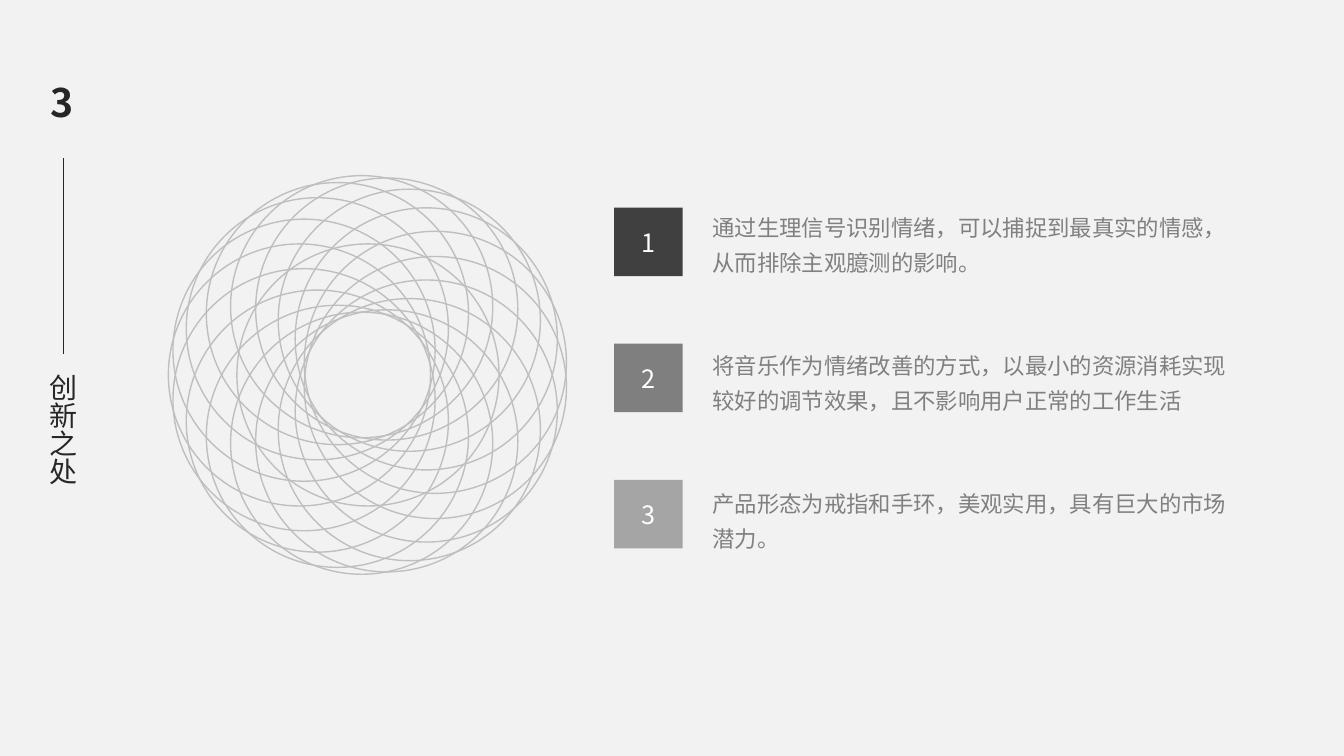
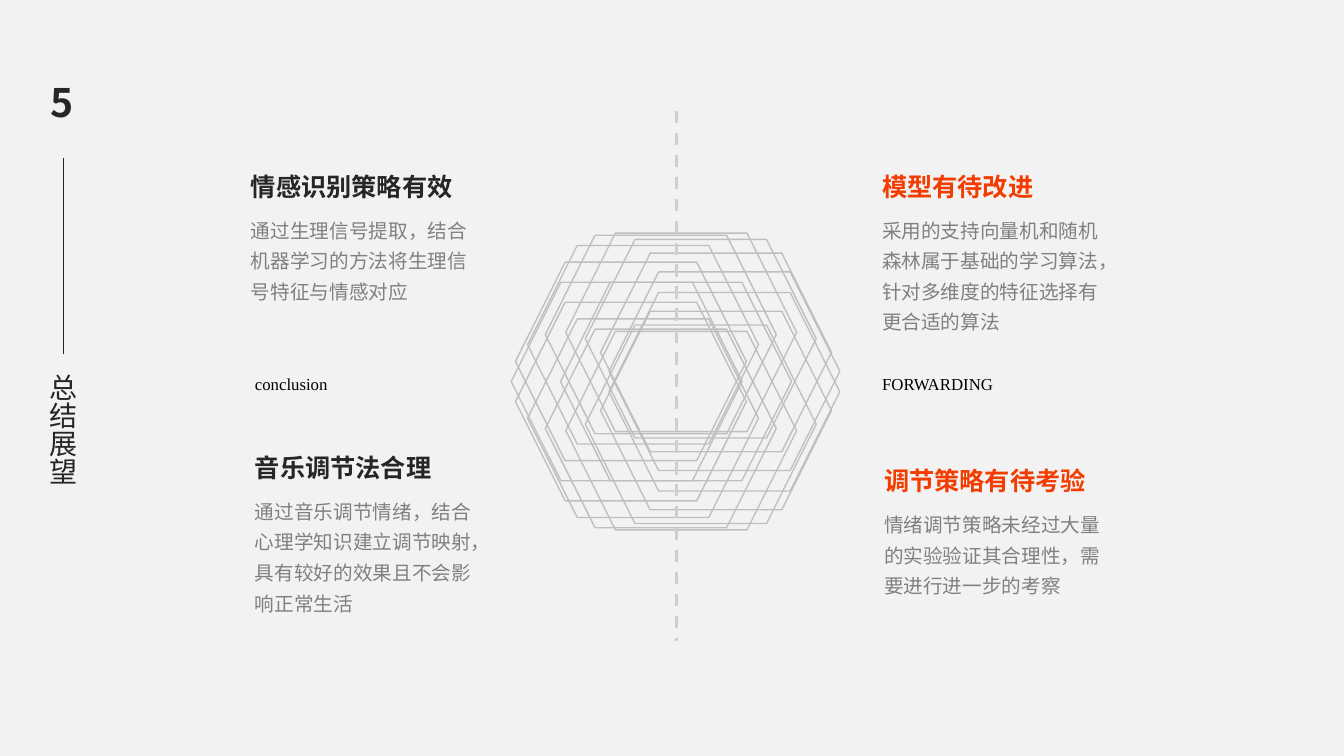
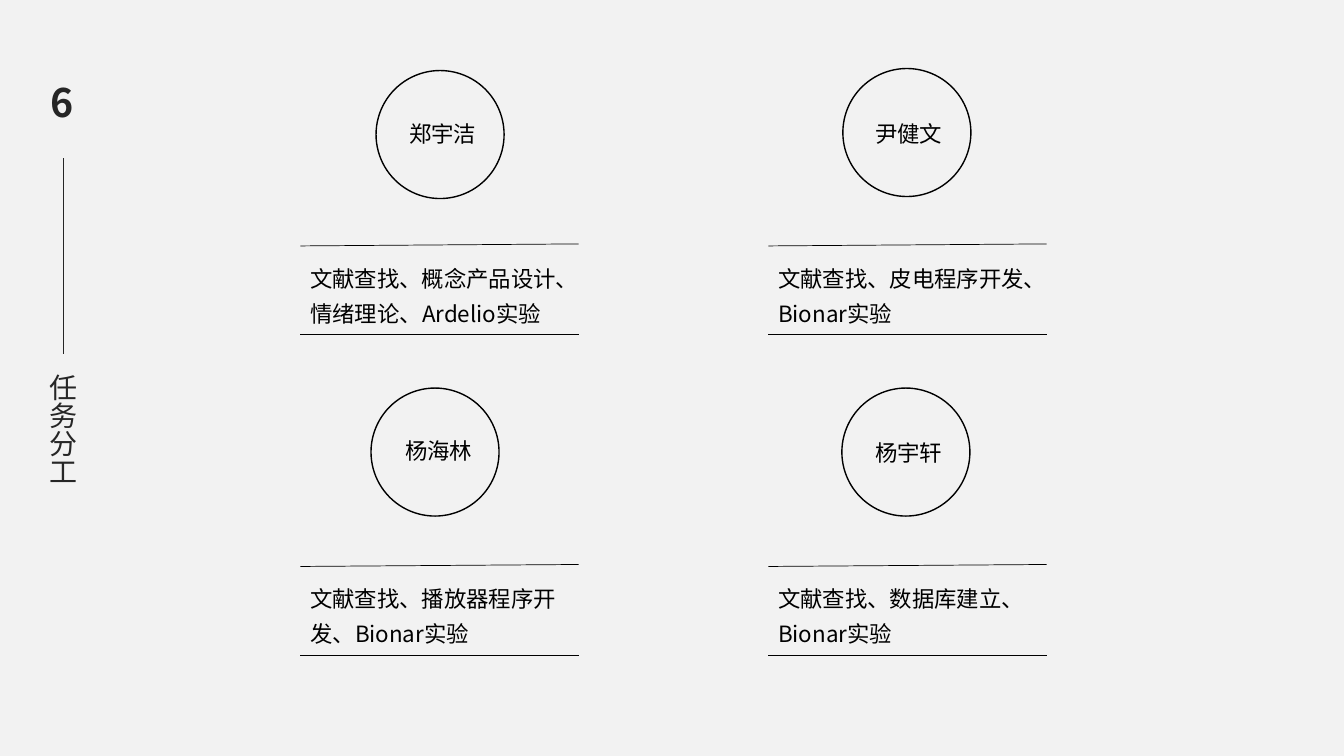
"""Build three slides: innovations, conclusions and outlook, and division of tasks."""
from math import cos, pi, sin

from lxml.etree import SubElement
from pptx import Presentation
from pptx.dml.color import RGBColor
from pptx.enum.dml import MSO_LINE
from pptx.enum.shapes import MSO_CONNECTOR, MSO_SHAPE
from pptx.enum.text import MSO_ANCHOR, MSO_AUTO_SIZE, PP_ALIGN
from pptx.oxml.ns import qn
from pptx.util import Inches, Pt

COLORS = {
    "background": "F2F2F2",
    "ink": "262626",
    "body": "808080",
    "outline": "BFBFBF",
    "divider": "D0CECE",
    "accent": "F23C00",
    "black": "000000",
    "white": "FFFFFF",
    "badge dark": "404040",
    "badge medium": "7F7F7F",
    "badge light": "A5A5A5",
}
RGB = {name: RGBColor.from_string(value) for name, value in COLORS.items()}
SANS = "Noto Sans CJK SC"
SERIF = "Times New Roman"


def write(shape, text, size, color, bold=False, align=PP_ALIGN.LEFT, spacing=None,
          before=0, anchor=MSO_ANCHOR.TOP, wrap=True, grow=True, font=SANS):
    """Put one formatted paragraph into a shape."""
    frame = shape.text_frame
    frame.text = text
    frame.word_wrap = wrap
    frame.auto_size = MSO_AUTO_SIZE.SHAPE_TO_FIT_TEXT if grow else MSO_AUTO_SIZE.NONE
    frame.vertical_anchor = anchor
    paragraph = frame.paragraphs[0]
    paragraph.alignment = align
    paragraph.line_spacing = spacing
    paragraph.space_before = Pt(before)
    paragraph.font.size = Pt(size)
    paragraph.font.bold = bold
    paragraph.font.color.rgb = RGB[color]
    paragraph.font.name = font
    SubElement(paragraph.font._element, qn("a:ea"), typeface=font)


def add_line(slide, x1, y1, x2, y2, color, width=0.5):
    """Draw a straight line without a shadow."""
    line = slide.shapes.add_connector(
        MSO_CONNECTOR.STRAIGHT, Inches(x1), Inches(y1), Inches(x2), Inches(y2))
    line.line.color.rgb = RGB[color]
    line.line.width = Pt(width)
    SubElement(line._element.spPr, qn("a:effectLst"))
    return line


presentation = Presentation()
presentation.slide_width = Inches(13.33)
presentation.slide_height = Inches(7.5)
background = presentation.slide_master.background.fill
background.solid()
background.fore_color.rgb = RGB["background"]

slides = []
for number, heading in [("3", "创新之处"), ("5", "总结展望"), ("6", "任务分工")]:
    slide = presentation.slides.add_slide(presentation.slide_layouts[5])
    slides.append(slide)
    add_line(slide, 0.63, 1.57, 0.63, 3.51, "ink")
    number_box = slide.shapes.add_textbox(Inches(0.24), Inches(0.61), Inches(0.76), Inches(0.8))
    write(number_box, number, 28, "ink", bold=True, align=PP_ALIGN.CENTER,
          before=10, anchor=MSO_ANCHOR.MIDDLE, grow=False)
    title = slide.shapes.title
    title.left, title.top = Inches(0.32), Inches(3.66)
    title.width, title.height = Inches(0.6), Inches(3.26)
    write(title, heading, 20, "ink", before=10, anchor=MSO_ANCHOR.MIDDLE, grow=False)
    title.text_frame._txBody.bodyPr.set("vert", "eaVert")

innovation_slide, outlook_slide, team_slide = slides

rings = [
    (innovation_slide, MSO_SHAPE.OVAL, 2.35, 2.42, 2.6, 2.6, 0.68, 17),
    (outlook_slide, MSO_SHAPE.HEXAGON, 5.56, 2.8, 2.29, 1.97, 0.49, 15),
]
for slide, kind, left, top, width, height, radius, count in rings:
    group = slide.shapes.add_group_shape()
    angles = [2 * pi * step / count for step in range(count)]
    offsets = [(0, 0)] + [(radius * cos(angle), radius * sin(angle)) for angle in angles]
    for across, down in offsets:
        shape = group.shapes.add_shape(kind, Inches(left - across), Inches(top - down),
                                       Inches(width), Inches(height))
        shape.shadow.inherit = False
        shape.fill.background()
        shape.line.color.rgb = RGB["outline"]
        shape.line.width = Pt(1)

innovations = [
    ("badge dark", "通过生理信号识别情绪，可以捕捉到最真实的情感，从而排除主观臆测的影响。"),
    ("badge medium", "将音乐作为情绪改善的方式，以最小的资源消耗实现较好的调节效果，且不影响用户正常的工作生活"),
    ("badge light", "产品形态为戒指和手环，美观实用，具有巨大的市场潜力。"),
]
for index, (color, text) in enumerate(innovations):
    badge = innovation_slide.shapes.add_shape(
        MSO_SHAPE.RECTANGLE, Inches(6.09), Inches(2.06 + 1.35 * index), Inches(0.68), Inches(0.68))
    badge.shadow.inherit = False
    badge.fill.solid()
    badge.fill.fore_color.rgb = RGB[color]
    badge.line.fill.background()
    write(badge, str(index + 1), 18, "white", align=PP_ALIGN.CENTER,
          anchor=MSO_ANCHOR.MIDDLE, grow=False)
    description = innovation_slide.shapes.add_textbox(
        Inches(6.97), Inches(2 + 1.365 * index), Inches(5.47), Inches(0.8))
    write(description, text, 16, "body", spacing=1.3)

findings = [
    (8.65, 1.65, "accent", "模型有待改进", "采用的支持向量机和随机森林属于基础的学习算法，针对多维度的特征选择有更合适的算法"),
    (2.39, 1.65, "ink", "情感识别策略有效", "通过生理信号提取，结合机器学习的方法将生理信号特征与情感对应"),
    (8.67, 4.57, "accent", "调节策略有待考验", "情绪调节策略未经过大量的实验验证其合理性，需要进行进一步的考察"),
    (2.43, 4.44, "ink", "音乐调节法合理", "通过音乐调节情绪，结合心理学知识建立调节映射，具有较好的效果且不会影响正常生活"),
]
for left, top, color, heading, text in findings:
    heading_box = outlook_slide.shapes.add_textbox(
        Inches(left), Inches(top), Inches(0.22 + 0.25 * len(heading)), Inches(0.4))
    write(heading_box, heading, 18, color, bold=True, wrap=False)
    detail_box = outlook_slide.shapes.add_textbox(
        Inches(left), Inches(top + 0.4), Inches(2.42), Inches(1.3))
    write(detail_box, text, 14, "body", spacing=1.3)

divider = add_line(outlook_slide, 6.71, 1.1, 6.71, 6.36, "divider", 2.25)
divider.line.dash_style = MSO_LINE.DASH
for left, width, label in [(2.43, 2.3, "conclusion"), (8.65, 2.69, "FORWARDING")]:
    label_box = outlook_slide.shapes.add_textbox(
        Inches(left), Inches(3.6), Inches(width), Inches(0.36))
    write(label_box, label, 12, "black", spacing=1.3, before=6, font=SERIF)

members = [
    ("郑宇洁", "文献查找、概念产品设计、情绪理论、Ardelio实验", 3.73, 0.7, 3.96, 1.06),
    ("尹健文", "文献查找、皮电程序开发、Bionar实验", 8.36, 0.68, 8.58, 1.06),
    ("杨海林", "文献查找、播放器程序开发、Bionar实验", 3.68, 3.85, 3.92, 4.21),
    ("杨宇轩", "文献查找、数据库建立、Bionar实验", 8.35, 3.85, 8.58, 4.23),
]
for index, (name, tasks, circle_left, circle_top, name_left, name_top) in enumerate(members):
    row, column = divmod(index, 2)
    left, top = 2.98 + 4.64 * column, 2.44 + 3.18 * row
    circle = team_slide.shapes.add_shape(
        MSO_SHAPE.OVAL, Inches(circle_left), Inches(circle_top), Inches(1.27), Inches(1.27))
    circle.shadow.inherit = False
    circle.fill.background()
    circle.line.color.rgb = RGB["black"]
    circle.line.width = Pt(1)
    name_box = team_slide.shapes.add_textbox(
        Inches(name_left), Inches(name_top), Inches(1.42), Inches(0.44))
    write(name_box, name, 16, "black", spacing=1.3, before=6)
    add_line(team_slide, left, top, left + 2.76, top - 0.02, "black")
    add_line(team_slide, left, top + 0.88, left + 2.76, top + 0.88, "black")
    task_box = team_slide.shapes.add_textbox(
        Inches(left), Inches(top + 0.06), Inches(2.76), Inches(0.79))
    write(task_box, tasks, 16, "black", spacing=1.3, before=6)

presentation.save("out.pptx")
